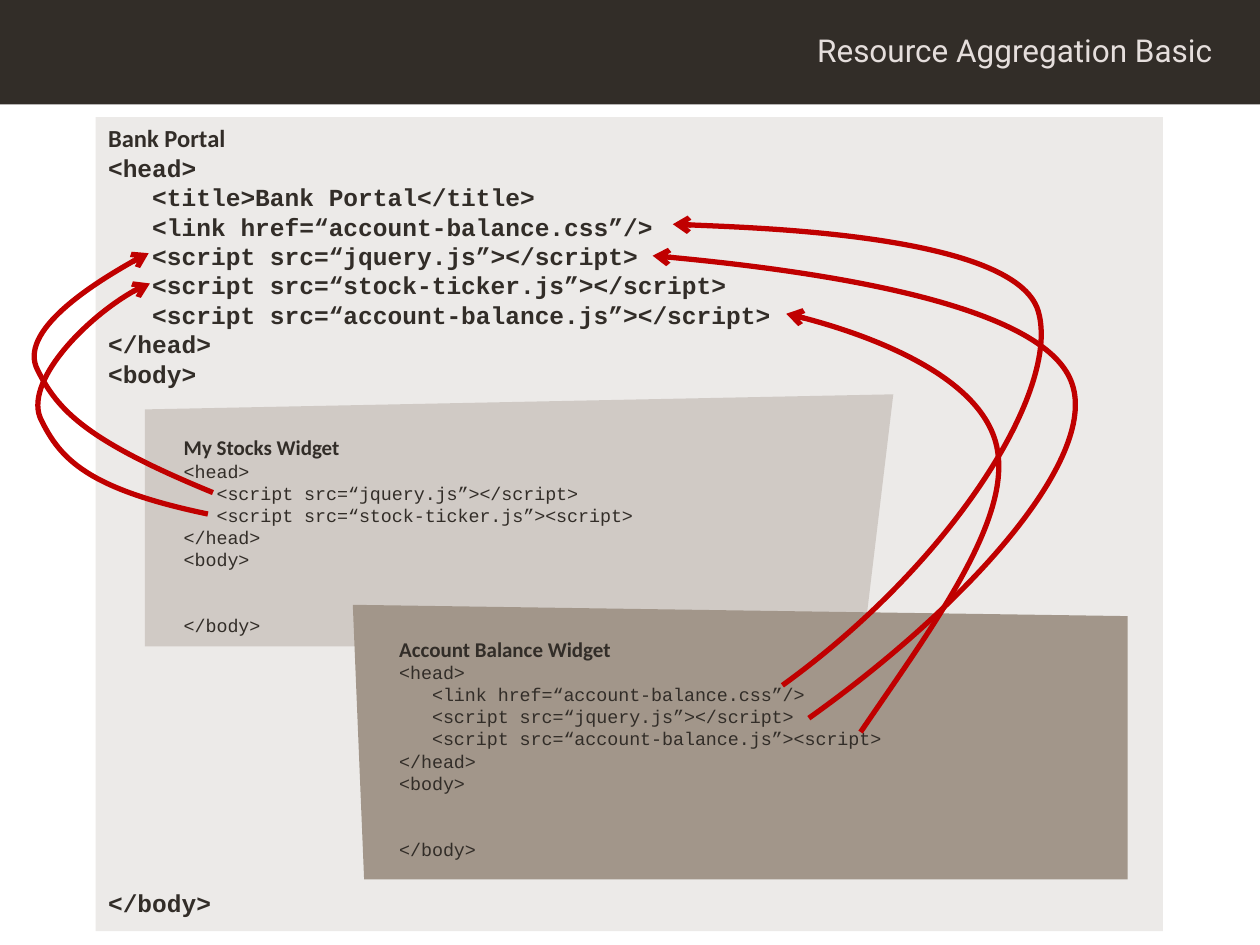
from copy import deepcopy

from lxml.etree import SubElement
from pptx import Presentation
from pptx.dml.color import RGBColor
from pptx.enum.shapes import MSO_SHAPE
from pptx.enum.text import MSO_ANCHOR, PP_ALIGN
from pptx.oxml.ns import qn
from pptx.util import Inches, Pt

DARK, RED = "322D28", "C00000"
CODE = "Courier New"

PORTAL = """<head>
   <title>Bank Portal</title>
   <link href=“account-balance.css”/>
   <script src=“jquery.js”></script>
   <script src=“stock-ticker.js”></script>
   <script src=“account-balance.js”></script>
</head>
<body>
</body>"""

STOCKS = """<head>
   <script src=“jquery.js”></script>
   <script src=“stock-ticker.js”><script>
</head>
<body>
</body>"""

BALANCE = """<head>
   <link href=“account-balance.css”/>
   <script src=“jquery.js”></script>
   <script src=“account-balance.js”><script>
</head>
<body>
</body>"""

# Each arrow: start, then two curves of (control, control, end)
ARROWS = [
    ((1.69, 3.91), [((0.69, 3.5), (0.46, 3.26), (0.3, 2.94)),
                    ((0.13, 2.63), (0.94, 2.12), (1.18, 2.01))]),
    ((1.65, 4.08), [((0.69, 3.88), (0.48, 3.64), (0.33, 3.34)),
                    ((0.17, 3.04), (0.81, 2.39), (1.19, 2.25))]),
    ((6.42, 5.7), [((7.7, 4.79), (8.71, 3.64), (8.51, 3.05)),
                   ((8.32, 2.46), (6.67, 2.16), (5.18, 2.03))]),
    ((6.21, 5.44), [((7.58, 4.45), (8.42, 3.08), (8.24, 2.47)),
                    ((8.06, 1.86), (5.34, 1.78), (5.34, 1.78))]),
    ((6.83, 5.81), [((7.36, 5.03), (8, 4.18), (7.92, 3.6)),
                    ((7.85, 3.02), (6.83, 2.62), (6.24, 2.49))]),
]


def rgb(value):
    return RGBColor.from_string(value)


def emu(point):
    return tuple(Inches(v) for v in point)


def paint(shape, fill):
    shape.shadow.inherit = False
    shape.fill.solid()
    shape.fill.fore_color.rgb = rgb(fill)
    shape.line.fill.background()


def add_rect(shapes, box, fill):
    sp = shapes.add_shape(MSO_SHAPE.RECTANGLE, *emu(box))
    paint(sp, fill)
    return sp


def add_text(shapes, box):
    sp = shapes.add_textbox(*emu(box))
    sp.text_frame.word_wrap = True
    return sp


def write(p, text, color, para=None, **font):
    r = p.add_run()
    r.text = text
    r.font.color.rgb = rgb(color)
    for target, values in ((r.font, font), (p, para or {})):
        for name, value in values.items():
            setattr(target, name, value)


def write_listing(tf, heading, code, head_size, code_size, bold, blank_lines):
    """Heading and code; blank_lines is the gap before the closing tag."""
    tf.vertical_anchor = MSO_ANCHOR.TOP
    write(tf.paragraphs[0], heading, DARK,
          {"alignment": PP_ALIGN.LEFT, "line_spacing": Pt(1.2 * head_size)},
          name="Calibri", size=Pt(head_size), bold=True)
    pitch = Pt(1.2 * code_size)
    for line in code.split("\n"):
        write(tf.add_paragraph(), line, DARK,
              {"alignment": PP_ALIGN.LEFT, "line_spacing": pitch},
              name=CODE, size=Pt(code_size), bold=bold)
    tf.paragraphs[-1].space_before = blank_lines * pitch


def add_widget(s, corners, fill, text_box, heading, code):
    shapes = s.shapes.add_group_shape().shapes
    start, *rest = [emu(c) for c in corners]
    builder = shapes.build_freeform(*start)
    builder.add_line_segments(rest, close=True)
    paint(builder.convert_to_shape(), fill)
    sp = add_text(shapes, text_box)
    write_listing(sp.text_frame, heading, code, 12, 10.5, False, 2)


def add_curved_arrow(s, start, curves):
    builder = s.shapes.build_freeform(*emu(start))
    builder.add_line_segments([emu(c[-1]) for c in curves], close=False)
    sp = builder.convert_to_shape()
    sp.shadow.inherit = False
    sp.fill.background()
    sp.line.color.rgb = rgb(RED)
    sp.line.width = Pt(3)
    # Turn each straight segment into a Bézier curve
    segments = list(sp._element.iter(qn("a:lnTo")))
    for segment, (*controls, _) in zip(segments, curves):
        end = segment[0]
        segment.tag = qn("a:cubicBezTo")
        for control in controls:
            x, y = emu(control)
            pt = deepcopy(end)
            pt.set("x", str(x - sp.left))
            pt.set("y", str(y - sp.top))
            end.addprevious(pt)
    SubElement(sp.line._get_or_add_ln(), qn("a:tailEnd"), type="arrow")


def main():
    prs = Presentation()
    prs.slide_width, prs.slide_height = Inches(10), Inches(7.5)
    s = prs.slides.add_slide(prs.slide_layouts[6])

    # Title bar
    add_rect(s.shapes, (0, 0, 10.01, 0.83), DARK)
    title = add_text(s.shapes, (2.87, 0.2, 6.85, 0.4))
    write(title.text_frame.paragraphs[0], "Resource Aggregation Basic", "E5DEDC",
          {"alignment": PP_ALIGN.RIGHT}, name="Roboto", size=Pt(18))

    # Portal page
    portal = add_rect(s.shapes, (0.76, 0.93, 8.47, 6.46), "ECEAE8")
    write_listing(portal.text_frame, "Bank Portal", PORTAL, 14, 14, True, 17)

    # Widgets
    add_widget(s, [(1.15, 3.25), (7.09, 3.13), (6.85, 5.13), (1.15, 5.13)],
               "D0CAC5", (1.36, 3.4, 5.66, 1.72), "My Stocks Widget", STOCKS)
    add_widget(s, [(2.8, 4.8), (8.95, 4.89), (8.95, 6.98), (2.89, 6.98)],
               "A2968A", (3.07, 5, 6.03, 1.64), "Account Balance Widget", BALANCE)

    # Arrows from widget resources to the portal head
    for start, curves in ARROWS:
        add_curved_arrow(s, start, curves)

    prs.save("out.pptx")


if __name__ == "__main__":
    main()
